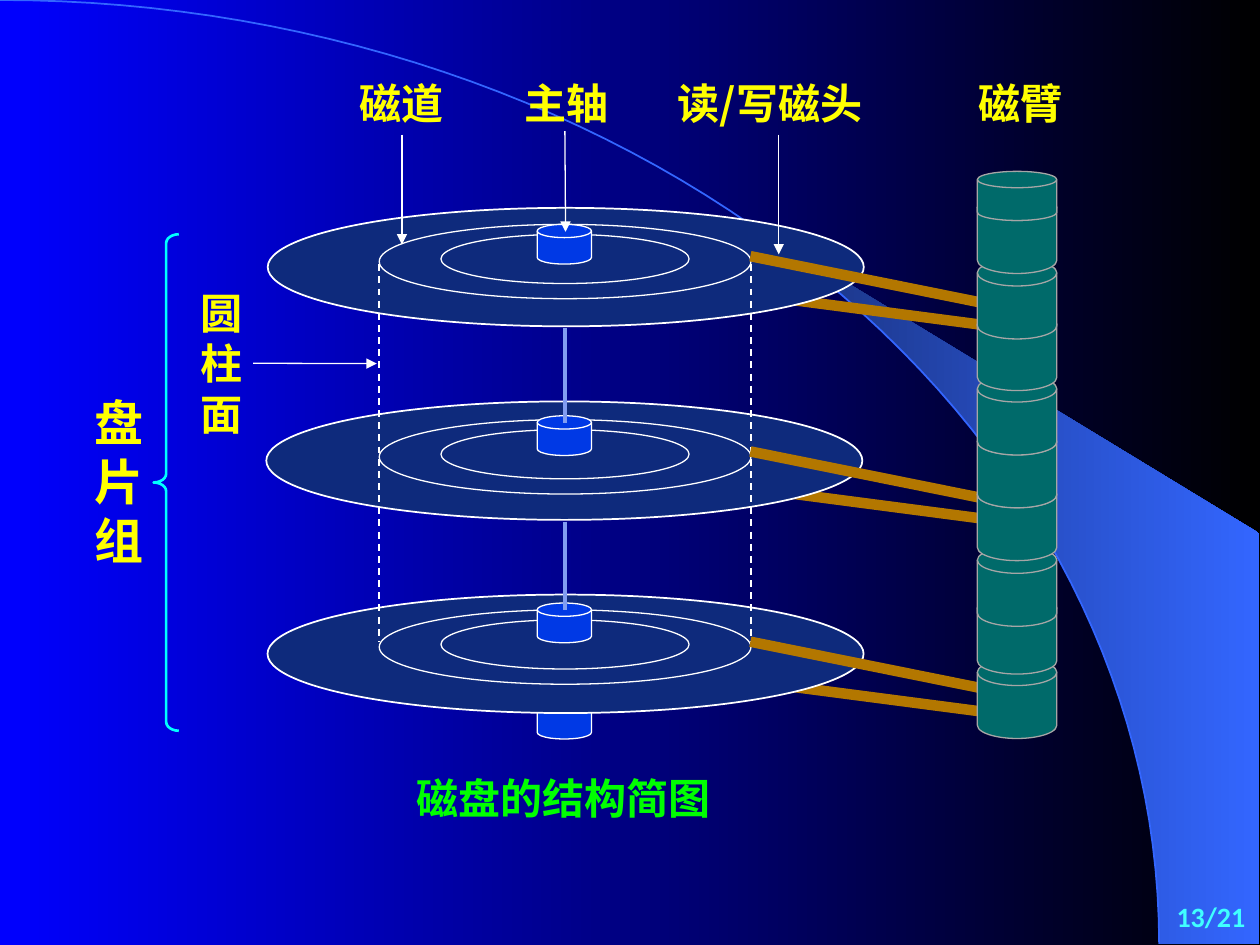
from math import asin, cos, pi, sin

from lxml.etree import SubElement
from pptx import Presentation
from pptx.dml.color import RGBColor
from pptx.enum.dml import MSO_LINE
from pptx.enum.shapes import MSO_CONNECTOR, MSO_SHAPE
from pptx.enum.text import MSO_ANCHOR, PP_ALIGN
from pptx.oxml.ns import qn
from pptx.util import Pt


class Theme:
    white, black = "FFFFFF", "000000"
    back, glow, dusk = "0000FF", "3366FF", "182F76"
    disk, hub, axle = "0E2A7C", "0039E5", "819DF1"
    arm, post, rim = "B37700", "006A6A", "A6A6A6"
    label, title, brace, page = "FFFF00", "00FF00", "00FFFF", "40FFFF"
    cjk, latin = "Noto Sans CJK SC", "Calibri"
    small, body, large = 16, 24, 28
    thin, edge = 0.75, 1


def rgb(code):
    return RGBColor.from_string(code)


def blend(fill, first, last):
    """Gradient from left to right."""
    fill.gradient()
    fill.gradient_angle = 0
    for stop, code in zip(fill.gradient_stops, (first, last)):
        stop.color.rgb = rgb(code)


def paint(shape, fill=None, line=None, width=Theme.thin):
    shape.shadow.inherit = False
    if fill:
        shape.fill.solid()
        shape.fill.fore_color.rgb = rgb(fill)
    else:
        shape.fill.background()
    if line:
        shape.line.color.rgb = rgb(line)
        shape.line.width = Pt(width)
    else:
        shape.line.fill.background()
    return shape


def add_form(slide, kind, box, *style):
    shape = slide.shapes.add_shape(kind, *map(Pt, box))
    return paint(shape, *style)


def add_line(slide, start, end, color, width=Theme.thin, dash=False, arrow=False):
    line = slide.shapes.add_connector(
        MSO_CONNECTOR.STRAIGHT, *map(Pt, (*start, *end)))
    line.line.color.rgb = rgb(color)
    line.line.width = Pt(width)
    if dash:
        line.line.dash_style = MSO_LINE.DASH
    if arrow:
        SubElement(line.line._get_or_add_ln(), qn("a:tailEnd"), type="triangle")
    SubElement(line._element.spPr, qn("a:effectLst"))


def add_text(slide, box, text, color=Theme.label, size=Theme.body,
             align=PP_ALIGN.LEFT, wrap=True, face=Theme.cjk):
    frame = slide.shapes.add_textbox(*map(Pt, box)).text_frame
    frame.word_wrap = wrap
    frame.text = text
    para = frame.paragraphs[0]
    para.alignment = align
    para.line_spacing = Pt(round(size * 1.2, 1))
    run = para.runs[0]
    run.font.size, run.font.bold = Pt(size), True
    run.font.color.rgb = rgb(color)
    run.font.name = face
    SubElement(run._r.get_or_add_rPr(), qn("a:ea"), typeface=face)
    return frame


def add_path(slide, points, close):
    spots = [(Pt(x), Pt(y)) for x, y in points]
    path = slide.shapes.build_freeform(*spots[0], scale=1.0)
    path.add_line_segments(spots[1:], close=close)
    return path.convert_to_shape()


def draw_wave(slide, wide, high):
    """Quarter ellipse across the slide, with a bright wedge to its right."""
    def arc(first, count=60):
        turns = [first + (pi / 2 - first) * i / count for i in range(count + 1)]
        return [(wide * sin(t), high * (1 - cos(t))) for t in turns]

    edge = 719.3
    wedge = add_path(slide, arc(asin(0.64)) + [(edge, high), (edge, 304.6)], True)
    paint(wedge)
    blend(wedge.fill, Theme.dusk, Theme.glow)
    paint(add_path(slide, arc(0), False), None, Theme.glow, Theme.edge)


def draw_disk(slide, left, top, ring):
    """Platter with two tracks; ring is the top of the outer track."""
    t = Theme
    add_line(slide, (left + 421, top + 68.5), (left + 291, top + 51.5), t.arm, 6)
    add_form(slide, MSO_SHAPE.OVAL, (left, top, 340.6, 67.7), t.disk, t.white, t.edge)
    for x, y, w, h in ((252, ring + 5.7, 141.8, 28.1), (216.7, ring, 212.4, 42.5)):
        add_form(slide, MSO_SHAPE.OVAL, (x, y, w, h), None, t.white)


def draw_hub(slide, top):
    add_form(slide, MSO_SHAPE.FLOWCHART_MAGNETIC_DISK, (307, top, 31, 22.7),
             Theme.hub, Theme.white)


def draw_pack(slide, disks):
    """Stack of platters with the cylinder marks, the axle and the heads."""
    t = Theme
    draw_hub(slide, 399.6)
    for left, top, ring, hub in disks:
        draw_disk(slide, left, top, ring)
        draw_hub(slide, hub)
    for x in (429.1, 216.7):
        add_line(slide, (x, 151), (x, 366.5), t.white, t.edge, dash=True)
    for upper, lower in zip(disks, disks[1:]):
        add_line(slide, (323, upper[1] + 68.7), (323, lower[3] + 4.2), t.axle, 2.25)
    for _, _, ring, _ in disks:
        add_line(slide, (571, ring + 46.8), (428.8, ring + 18.2), t.arm, 6)


def draw_post(slide, left, wide):
    """Arm post, stacked from the bottom up."""
    high = 45.4
    for top in (376.6, 339.8, 312.5, 275, 244.8, 214.6, 177.8, 148.3, 110.9):
        add_form(slide, MSO_SHAPE.FLOWCHART_MAGNETIC_DISK, (left, top, wide, high),
                 Theme.post, Theme.rim)
    add_form(slide, MSO_SHAPE.FLOWCHART_MAGNETIC_DISK, (left, 97.9, wide, 28.1),
             Theme.post, Theme.rim)


def draw_labels(slide):
    t = Theme
    short, long = 70, 140
    tags = (("磁道", 198.4, short, (229.7, 77), (229.7, 139.7)),
            ("主轴", 292.9, short, (322.8, 75), (323.2, 132.5)),
            ("读/写磁头", 380.2, long, (445, 77), (445, 145.4)),
            ("磁臂", 552.2, short, None, None))
    for text, left, wide, start, end in tags:
        add_text(slide, (left, 41, wide, 36), text)
        if start:
            add_line(slide, start, end, t.white, arrow=True)
    add_text(slide, (99.4, 160.6, 46, 93.6), "圆柱面", align=PP_ALIGN.RIGHT)
    add_line(slide, (144.7, 207.6), (215.3, 207.8), t.white, arrow=True)
    add_text(slide, (43.2, 221, 46, 108), "盘片组", size=t.large,
             align=PP_ALIGN.RIGHT)
    brace = add_form(slide, MSO_SHAPE.LEFT_BRACE, (87.8, 133.9, 14.4, 283.7),
                     None, t.brace, 1.5)
    brace.adjustments[0] = 0.35
    add_text(slide, (208.8, 437.8, 226.8, 36), "磁盘的结构简图", t.title,
             align=PP_ALIGN.CENTER)


def draw_page(slide, box):
    frame = add_text(slide, box, "13/21", Theme.page, Theme.small,
                     PP_ALIGN.RIGHT, face=Theme.latin)
    frame.vertical_anchor = MSO_ANCHOR.MIDDLE


def main():
    deck = Presentation()
    deck.slide_width, deck.slide_height = Pt(720), Pt(540)
    slide = deck.slides.add_slide(deck.slide_layouts[6])
    blend(slide.background.fill, Theme.back, Theme.black)
    draw_wave(slide, 662.4, 539.3)
    draw_pack(slide, ((153, 118.8, 128.2, 128.2),
                      (152.2, 229.4, 239.8, 237.6),
                      (152.9, 339.8, 348.5, 344.6)))
    draw_post(slide, 558.5, 45.4)
    draw_labels(slide)
    draw_page(slide, (619.2, 509.8, 99.4, 28))
    deck.save("out.pptx")


if __name__ == "__main__":
    main()
